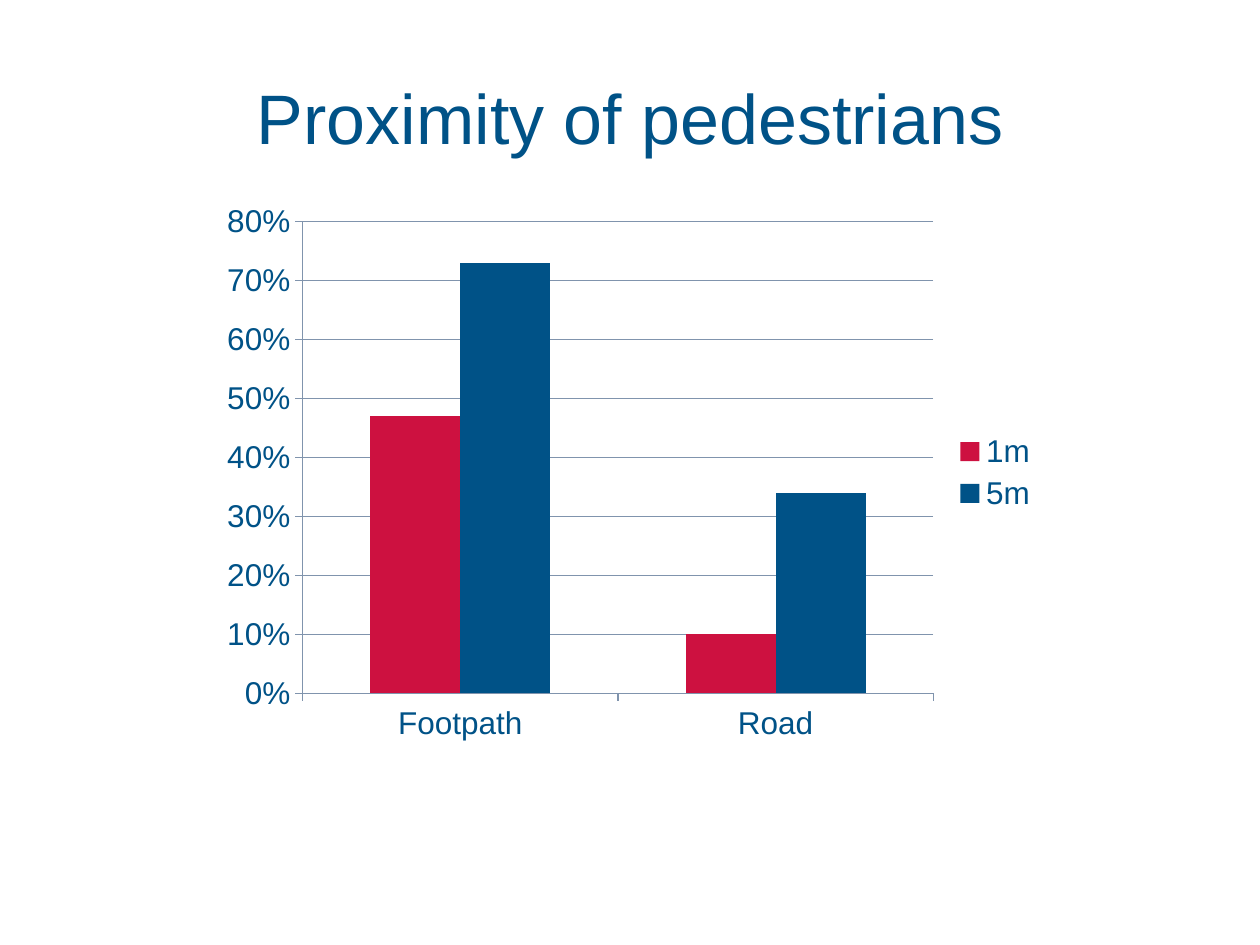
"""Build the slide on how close pedestrians come, by place."""
from dataclasses import dataclass

from pptx import Presentation
from pptx import util as u
from pptx.chart.data import CategoryChartData
from pptx.dml.color import RGBColor
from pptx.enum import chart as ch
from pptx.enum import text as t


@dataclass(frozen=True)
class Theme:
    font: str = "Arial"
    blue: str = "005287"
    red: str = "CD1140"
    rule: str = "8094AD"
    title_size: int = 40
    chart_size: int = 18


@dataclass(frozen=True)
class Distance:
    label: str
    shares: tuple[float, ...]
    color: str


THEME = Theme()
PLACES = ("Footpath", "Road")
DISTANCES = (
    Distance("1m", (0.47, 0.10), THEME.red),
    Distance("5m", (0.73, 0.34), THEME.blue),
)


def style_font(font, *, size: int, color: str) -> None:
    font.name = THEME.font
    font.size = u.Pt(size)
    font.color.rgb = RGBColor.from_string(color)


def add_text(slide, wording: str, *, left: float, top: float, width: float,
             height: float, size: int, color: str, align=t.PP_ALIGN.CENTER,
             anchor=t.MSO_ANCHOR.MIDDLE) -> None:
    box = slide.shapes.add_textbox(*map(u.Inches, (left, top, width, height)))
    frame = box.text_frame
    frame.word_wrap = True
    frame.vertical_anchor = anchor
    paragraph = frame.paragraphs[0]
    paragraph.alignment = align
    run = paragraph.add_run()
    run.text = wording
    style_font(run.font, size=size, color=color)


def style_axis(axis) -> None:
    axis.major_tick_mark = ch.XL_TICK_MARK.OUTSIDE
    axis.minor_tick_mark = ch.XL_TICK_MARK.NONE
    axis.format.line.color.rgb = RGBColor.from_string(THEME.rule)
    axis.format.line.width = u.Pt(0.75)


def add_proximity_chart(slide, *, left: float, top: float, width: float,
                        height: float) -> None:
    shares = CategoryChartData(number_format="0%")
    shares.categories = PLACES
    for distance in DISTANCES:
        shares.add_series(distance.label, distance.shares)
    proximity = slide.shapes.add_chart(
        ch.XL_CHART_TYPE.COLUMN_CLUSTERED,
        *map(u.Inches, (left, top, width, height)), shares).chart
    style_font(proximity.font, size=THEME.chart_size, color=THEME.blue)
    proximity.has_title = False
    proximity.has_legend = True
    proximity.legend.position = ch.XL_LEGEND_POSITION.RIGHT
    proximity.legend.include_in_layout = False

    percent = proximity.value_axis
    percent.minimum_scale, percent.maximum_scale, percent.major_unit = 0, 0.8, 0.1
    percent.tick_labels.number_format = "0%"
    percent.tick_labels.number_format_is_linked = False
    gridline = percent.major_gridlines.format.line
    gridline.color.rgb = RGBColor.from_string(THEME.rule)
    gridline.width = u.Pt(0.75)
    for axis in (percent, proximity.category_axis):
        style_axis(axis)

    columns = proximity.plots[0]
    columns.gap_width, columns.overlap = 150, 0
    columns.vary_by_categories = False
    for series, distance in zip(columns.series, DISTANCES):
        series.format.fill.solid()
        series.format.fill.fore_color.rgb = RGBColor.from_string(distance.color)


def main() -> None:
    deck = Presentation()
    deck.slide_width, deck.slide_height = u.Inches(10), u.Inches(7.5)
    slide = deck.slides.add_slide(deck.slide_layouts[6])
    add_text(slide, "Proximity of pedestrians", left=0.5, top=0.3, width=9,
             height=1.25, size=THEME.title_size, color=THEME.blue)
    add_proximity_chart(slide, left=1.67, top=1.53, width=6.67, height=4.44)
    deck.save("out.pptx")


if __name__ == "__main__":
    main()
